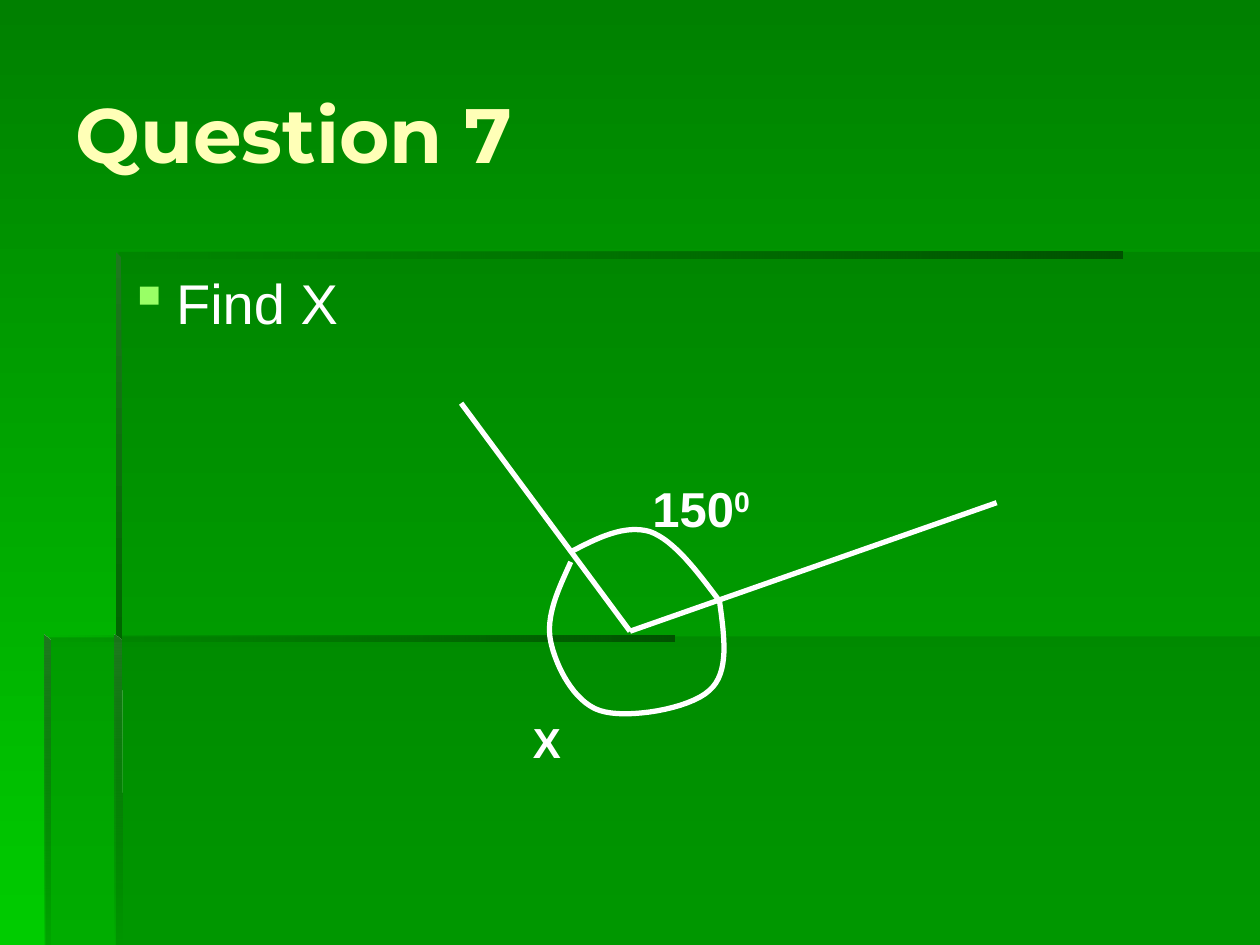
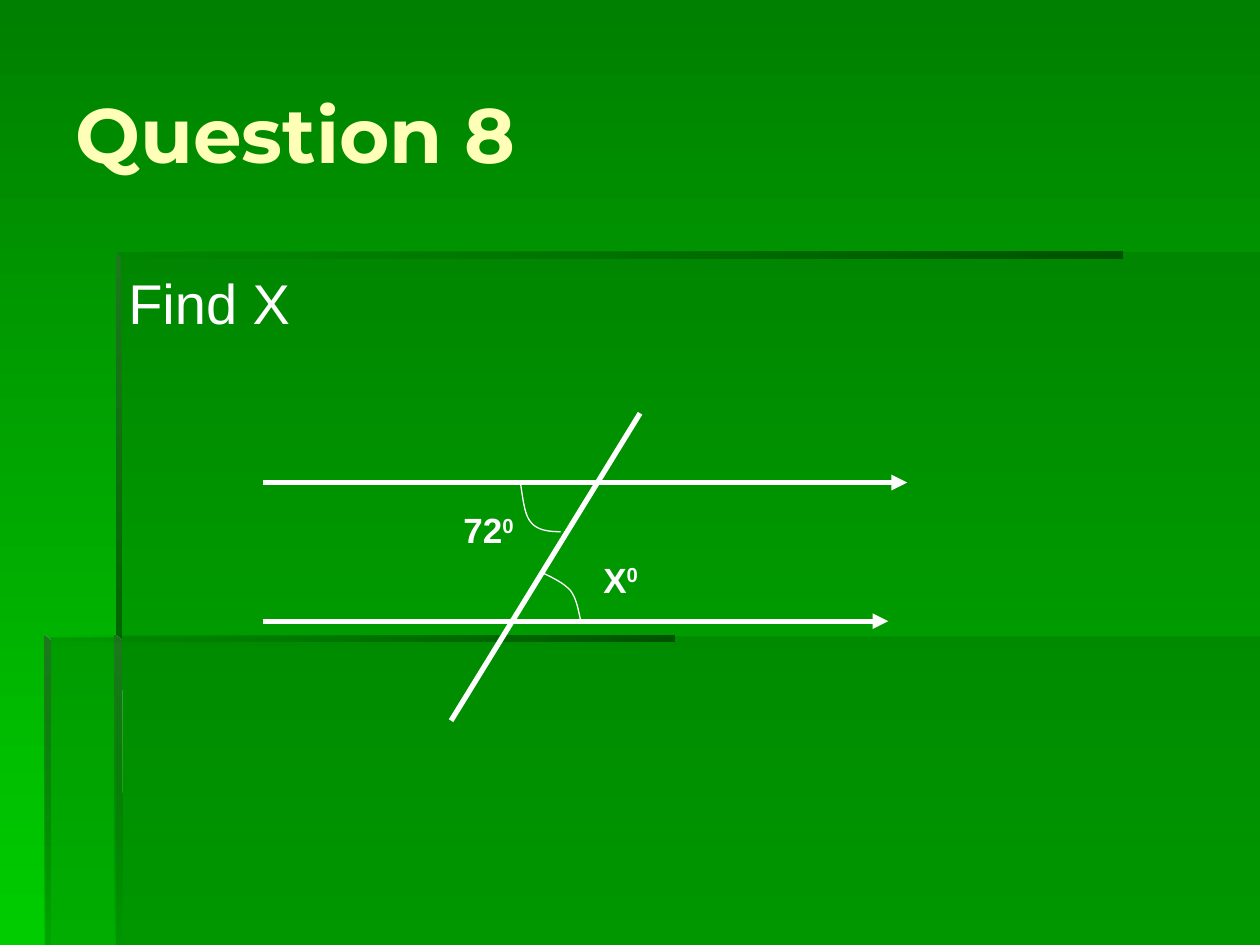
from lxml import etree
from pptx import Presentation
from pptx import util as u
from pptx.dml.color import RGBColor
from pptx.enum import shapes, text
from pptx.oxml import ns

FOREST = RGBColor(0x00, 0x80, 0x00)
LEAF = RGBColor(0x00, 0xCC, 0x00)
SHADE = RGBColor(0x00, 0x66, 0x00)
DEEP = RGBColor(0x00, 0x53, 0x00)
MOSS = RGBColor(0x1E, 0x78, 0x1E)
CREAM = RGBColor(0xFF, 0xFF, 0xB7)
LIME = RGBColor(0x99, 0xFF, 0x66)
WHITE = RGBColor(0xFF, 0xFF, 0xFF)

deck = Presentation()
deck.slide_width, deck.slide_height = u.Inches(10), u.Inches(7.5)
CELL = deck.slide_width // 100
COLS, ROWS = 100, 75
CURVE_STEPS = 16
THICK, THIN = 3, 0.75


def write(slide, words, box, size, font="Arial", color=WHITE, bold=False,
          raised="", bullet=None, anchor=text.MSO_ANCHOR.TOP):
    frame = slide.shapes.add_textbox(*[round(n * CELL) for n in box]).text_frame
    frame.word_wrap = True
    frame.vertical_anchor = anchor
    line = frame.paragraphs[0]
    if bullet:
        props = line._p.get_or_add_pPr()
        props.set("marL", str(round(3.8 * CELL)))
        props.set("indent", str(round(-3.8 * CELL)))
        tint = etree.SubElement(props, ns.qn("a:buClr"))
        etree.SubElement(tint, ns.qn("a:srgbClr"), val=str(LIME))
        etree.SubElement(props, ns.qn("a:buChar"), char=bullet)
    for part, baseline in ((words, None), (raised, "30000")):
        if part:
            run = line.add_run()
            run.text = part
            run.font.name, run.font.size = font, u.Pt(size)
            run.font.bold, run.font.color.rgb = bold, color
            if baseline:
                run.font._element.set("baseline", baseline)


def outline(slide, points, closed):
    corners = [(round(x * CELL), round(y * CELL)) for x, y in points]
    pen = slide.shapes.build_freeform(*corners[0])
    pen.add_line_segments(corners[1:], close=closed)
    shape = pen.convert_to_shape()
    shape.shadow.inherit = False
    return shape


LEFT, INNER, TOP, MIDDLE = 3.5, 9.2, 20, 50.4
EDGE = 0.5
bands = [
    ([(INNER, 50.5), (INNER, ROWS), (COLS, ROWS), (COLS, 50.5)], [SHADE], 0, 30),
    ([(9.4, 50.6), (3.6, 50.6), (3.6, ROWS), (COLS, ROWS), (COLS, TOP), (9.4, TOP)],
     [SHADE], 0, 30),
    ([(INNER, TOP), (INNER, TOP + EDGE), (89.1, TOP + EDGE), (89.1, TOP)],
     [DEEP, SHADE], 180, 0),
    ([(INNER, TOP), (INNER, 51), (9.7, 51), (9.6, 20.4)], [MOSS, SHADE], 270, 100),
    ([(9.1, ROWS), (9.7, ROWS), (9.6, 50.8), (9.1, MIDDLE)], [MOSS, SHADE], 270, 0),
    ([(LEFT, MIDDLE), (LEFT, MIDDLE + EDGE), (53.5, MIDDLE + EDGE), (53.5, MIDDLE)],
     [DEEP, SHADE], 180, 0),
    ([(LEFT, MIDDLE), (LEFT, ROWS), (LEFT + EDGE, ROWS), (LEFT + EDGE, MIDDLE + EDGE)],
     [MOSS, SHADE], 270, 10),
]

vertex = (50, 50.1)
questions = [
    {
        "title": "Question 7",
        "bullet": "▪",
        "rays": [((36.6, 32), vertex, False), (vertex, (79.1, 39.9), False)],
        "arc_width": THICK,
        "arcs": [
            [(45.3, 43.8), (47.4, 42.7), (49.6, 41.6), (51.6, 42.2),
             (53.5, 42.9), (55.3, 45.3), (57.1, 47.7)],
            [(57.1, 47.7), (57.5, 50.6), (57.9, 53.4), (56.3, 54.8),
             (54.7, 56.3), (49.7, 57.1), (47.6, 56.4),
             (45.5, 55.7), (44.1, 52.8), (43.7, 50.9),
             (43.3, 48.9), (44.3, 46.8), (45.3, 44.6)],
        ],
        "angles": [("150", "0", (50.8, 37.5, 12.6, 5.7), 28),
                   ("X", "", (41.3, 56.4, 5.5, 5), 24)],
    },
    {
        "title": "Question 8",
        "bullet": None,
        "rays": [((20.9, 38.3), (72, 38.3), True),
                 ((20.9, 49.3), (70.5, 49.3), True),
                 ((50.8, 32.8), (35.8, 57.2), False)],
        "arc_width": THIN,
        "arcs": [
            [(42.9, 45.4), (43.8, 45.8), (44.8, 46.3), (45.3, 46.9),
             (45.8, 47.6), (45.9, 48.5), (46.1, 49.3)],
            [(41.3, 38.3), (41.5, 39.5), (41.6, 40.8), (42.1, 41.4),
             (42.6, 42.1), (43.6, 42.2), (44.5, 42.2)],
        ],
        "angles": [("72", "0", (35.8, 39.9, 6.3, 4.4), 20),
                   ("X", "0", (46.9, 43.8, 6.3, 4.4), 20)],
    },
]

backdrop = deck.slide_master.background.fill
backdrop.gradient()
backdrop.gradient_angle = 270
for stop, color in zip(backdrop.gradient_stops, (FOREST, LEAF)):
    stop.color.rgb = color

for question in questions:
    slide = deck.slides.add_slide(deck.slide_layouts[6])

    for corners, colors, angle, opacity in bands:
        band = outline(slide, corners, True)
        band.line.fill.background()
        if len(colors) == 1:
            band.fill.solid()
            band.fill.fore_color.rgb = colors[0]
        else:
            band.fill.gradient()
            band.fill.gradient_angle = angle
            for stop, color in zip(band.fill.gradient_stops, colors):
                stop.color.rgb = color
        last_tone = list(band.element.spPr.iter(ns.qn("a:srgbClr")))[-1]
        etree.SubElement(last_tone, ns.qn("a:alpha"), val=str(opacity * 1000))

    write(slide, question["title"], (5, 2.7, 91.7, 15.7), 44, font="Montserrat",
          color=CREAM, bold=True, anchor=text.MSO_ANCHOR.MIDDLE)
    write(slide, "Find X", (9.2, 20.8, 87.6, 45.8), 32, bullet=question["bullet"])

    for start, end, arrow in question["rays"]:
        ray = slide.shapes.add_connector(
            shapes.MSO_CONNECTOR.STRAIGHT, *[round(n * CELL) for n in start + end])
        ray.line.color.rgb, ray.line.width = WHITE, u.Pt(THICK)
        if arrow:
            etree.SubElement(ray.line._get_or_add_ln(), ns.qn("a:tailEnd"), type="triangle")
        etree.SubElement(ray.element.spPr, ns.qn("a:effectLst"))

    for knots in question["arcs"]:
        curve = [knots[0]]
        for first in range(0, len(knots) - 1, 3):
            a, b, c, d = knots[first:first + 4]
            for step in range(1, CURVE_STEPS + 1):
                t = step / CURVE_STEPS
                s = 1 - t
                curve.append([s**3 * a[i] + 3 * s * s * t * b[i]
                              + 3 * s * t * t * c[i] + t**3 * d[i] for i in (0, 1)])
        arc = outline(slide, curve, False)
        arc.fill.background()
        arc.line.color.rgb, arc.line.width = WHITE, u.Pt(question["arc_width"])

    for angle, degree, box, size in question["angles"]:
        write(slide, angle, box, size, bold=True, raised=degree)

deck.save("out.pptx")
